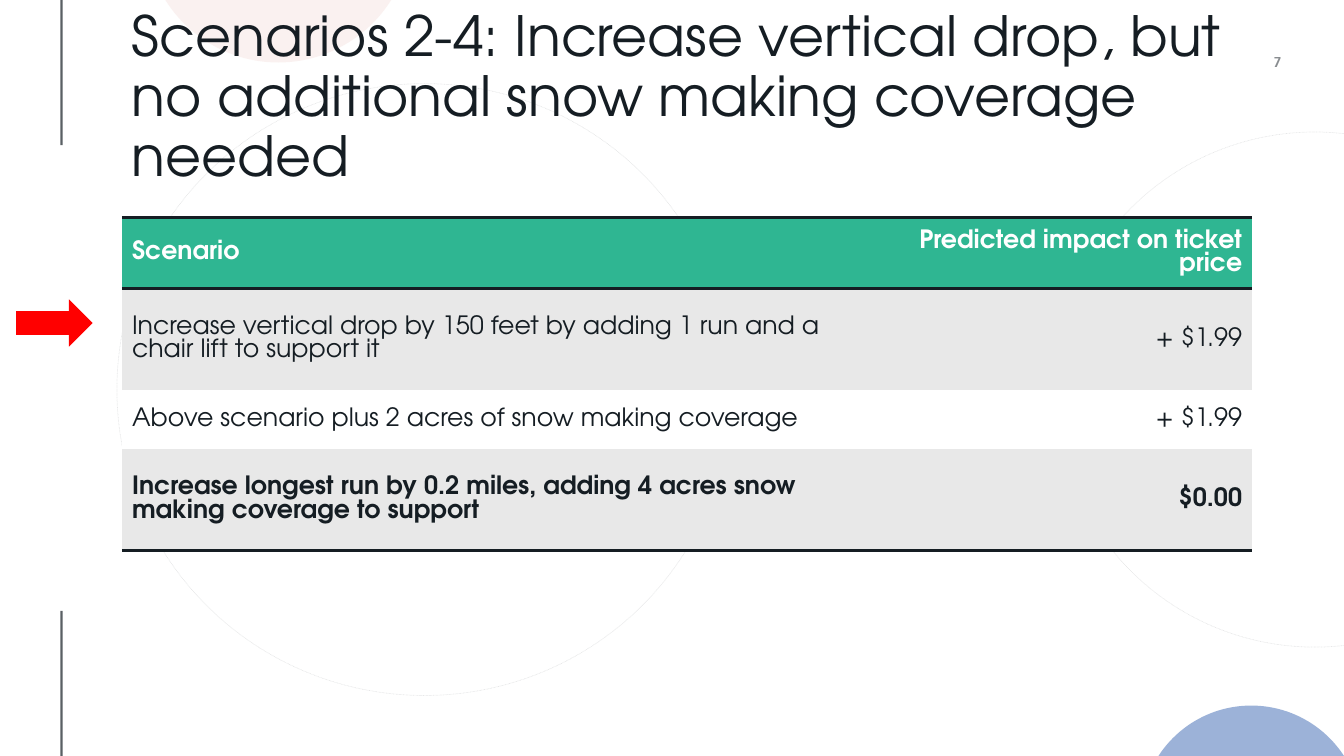
from math import asin, cos, sin

from pptx import Presentation
from pptx.dml.color import RGBColor
from pptx.enum.dml import MSO_LINE
from pptx.enum.shapes import MSO_CONNECTOR, MSO_SHAPE
from pptx.enum.text import MSO_ANCHOR, PP_ALIGN
from pptx.oxml.ns import qn
from pptx.util import Inches, Pt
from lxml.etree import SubElement

FONT = "TeX Gyre Adventor"
COLORS = {"ink": "151D23", "green": "2FB692", "band": "E8E8E8", "white": "FFFFFF",
          "blue": "3A66B3", "pink": "F6E4E2", "red": "FF0000"}
ROWS = [
    ("Scenario", "Predicted impact on ticket price"),
    ("Increase vertical drop by 150 feet by adding 1 run and a chair lift to support it", "+ $1.99"),
    ("Above scenario plus 2 acres of snow making coverage", "+ $1.99"),
    ("Increase longest run by 0.2 miles, adding 4 acres snow making coverage to support", "$0.00"),
]
FILLS = ["green", "band", "white", "band"]
COL_WIDTHS = [7.3, 3.91]
ROW_HEIGHTS = [0.58, 1.01, 0.58, 1.01]


def rgb(name):
    return RGBColor.from_string(COLORS[name])


def fade(element, opacity):
    """Make every colour within the element partly transparent."""
    for clr in element.iter(qn("a:srgbClr")):
        SubElement(clr, qn("a:alpha"), val=str(opacity * 1000))


def write(tf, text, size=18, color="ink", bold=False, align=PP_ALIGN.LEFT,
          spacing=None, opacity=None):
    p = tf.paragraphs[0]
    p.alignment = align
    if spacing:
        p.line_spacing = spacing
    r = p.add_run()
    r.text = text
    r.font.name, r.font.size, r.font.bold = FONT, Pt(size), bold
    r.font.color.rgb = rgb(color)
    if opacity:
        fade(r._r, opacity)


def add_text(slide, x, y, w, h, text, margin=None, **fmt):
    tf = slide.shapes.add_textbox(Inches(x), Inches(y), Inches(w), Inches(h)).text_frame
    tf.word_wrap = True
    tf.vertical_anchor = MSO_ANCHOR.MIDDLE
    if margin is not None:
        tf.margin_left = tf.margin_right = tf.margin_top = tf.margin_bottom = Inches(margin)
    write(tf, text, **fmt)


def add_side_line(slide, top, bottom):
    s = slide.shapes.add_connector(MSO_CONNECTOR.STRAIGHT, Inches(0.61), Inches(top),
                                   Inches(0.61), Inches(bottom))
    s.line.width = Pt(1.5)
    s.line.color.rgb = rgb("ink")
    fade(s._element, 70)
    SubElement(s._element.spPr, qn("a:effectLst"))


def add_ring(slide, x, y, w, h):
    s = slide.shapes.add_shape(MSO_SHAPE.OVAL, Inches(x), Inches(y), Inches(w), Inches(h))
    s.shadow.inherit = False
    s.fill.background()
    s.line.width = Pt(0.5)
    s.line.color.rgb = rgb("ink")
    s.line.dash_style = MSO_LINE.ROUND_DOT
    fade(s._element, 10)


def add_cap(slide, cx, edge, half, rise, color):
    """Circle cut off by a slide edge; a negative rise points up."""
    depth = abs(rise)
    radius = (half ** 2 + depth ** 2) / (2 * depth)
    sweep = asin(half / radius)
    steps = 48
    angles = [-sweep + 2 * sweep * i / steps for i in range(steps + 1)]
    sign = rise / depth
    points = [(Inches(cx + radius * sin(a)),
               Inches(edge + sign * (radius * cos(a) - radius + depth))) for a in angles]
    builder = slide.shapes.build_freeform(*points[0])
    builder.add_line_segments(points[1:], close=True)
    s = builder.convert_to_shape()
    s.shadow.inherit = False
    s.fill.solid()
    s.fill.fore_color.rgb = rgb(color)
    fade(s._element, 50)
    s.line.fill.background()


def add_borders(cell, sides):
    tcPr = cell._tc.get_or_add_tcPr()
    for i, side in enumerate(sides):
        ln = SubElement(tcPr, qn(f"a:ln{side}"), w=str(Pt(2)))
        SubElement(SubElement(ln, qn("a:solidFill")), qn("a:srgbClr"), val=COLORS["ink"])
        tcPr.insert(i, ln)


def add_scenarios(slide):
    frame = slide.shapes.add_table(len(ROWS), len(COL_WIDTHS), Inches(1.21), Inches(2.16),
                                   Inches(sum(COL_WIDTHS)), Inches(sum(ROW_HEIGHTS)))
    table = frame.table
    table.horz_banding = False
    # Plain style without grid lines
    table._tbl.tblPr.find(qn("a:tableStyleId")).text = "{2D5ABB26-0587-4C30-8999-92F81FD0307C}"
    for col, width in zip(table.columns, COL_WIDTHS):
        col.width = Inches(width)
    for i, texts in enumerate(ROWS):
        table.rows[i].height = Inches(ROW_HEIGHTS[i])
        header, last = i == 0, i == len(ROWS) - 1
        for j, text in enumerate(texts):
            cell = table.cell(i, j)
            cell.vertical_anchor = MSO_ANCHOR.MIDDLE
            cell.fill.solid()
            cell.fill.fore_color.rgb = rgb(FILLS[i])
            add_borders(cell, "TB" if header else "B" if last else "")
            write(cell.text_frame, text, color="white" if header else "ink",
                  bold=header or last, align=PP_ALIGN.RIGHT if j else PP_ALIGN.LEFT)


def add_marker(slide):
    s = slide.shapes.add_shape(MSO_SHAPE.RIGHT_ARROW, Inches(0.16), Inches(2.97),
                               Inches(0.76), Inches(0.47))
    s.shadow.inherit = False
    s.fill.solid()
    s.fill.fore_color.rgb = rgb("red")
    s.line.fill.background()


def main():
    prs = Presentation()
    prs.slide_width, prs.slide_height = Inches(13.33), Inches(7.5)
    slide = prs.slides.add_slide(prs.slide_layouts[6])

    # Background decoration
    add_side_line(slide, 6.06, 7.5)
    add_side_line(slide, 0, 1.44)
    add_ring(slide, 10.47, 1.31, 5.14, 5.11)
    add_ring(slide, 1.16, 0.83, 6.1, 6.07)
    add_cap(slide, 12.41, 7.5, 0.92, -0.5, "blue")
    add_cap(slide, 2.76, 0, 1.12, 0.62, "pink")

    # Page number, table, title and marker
    add_text(slide, 11.94, 0.48, 0.77, 0.27, "7", margin=0, size=10, bold=True,
             align=PP_ALIGN.RIGHT, opacity=50)
    add_scenarios(slide)
    add_text(slide, 1.21, 0.4, 11.21, 1.16,
             "Scenarios 2-4: Increase vertical drop, but no additional snow making coverage needed",
             size=39.6, spacing=0.9)
    add_marker(slide)
    prs.save("out.pptx")


if __name__ == "__main__":
    main()
